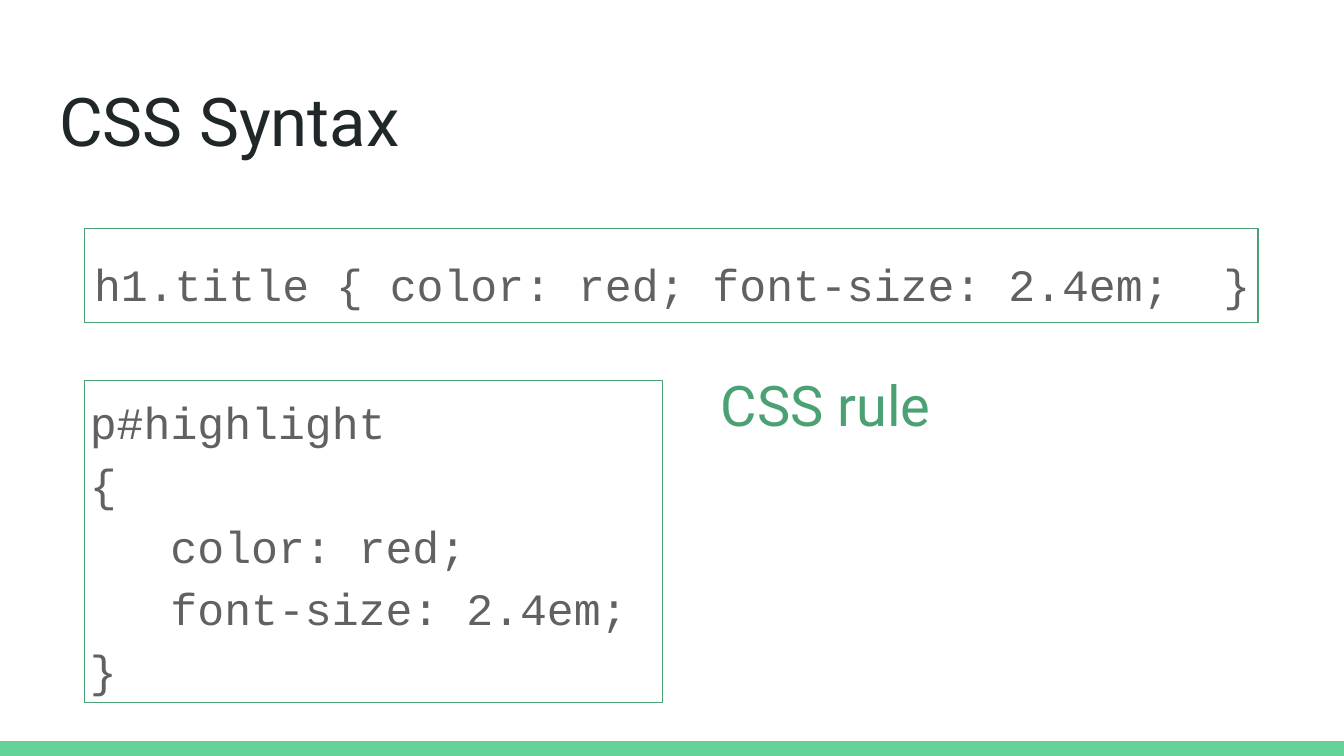
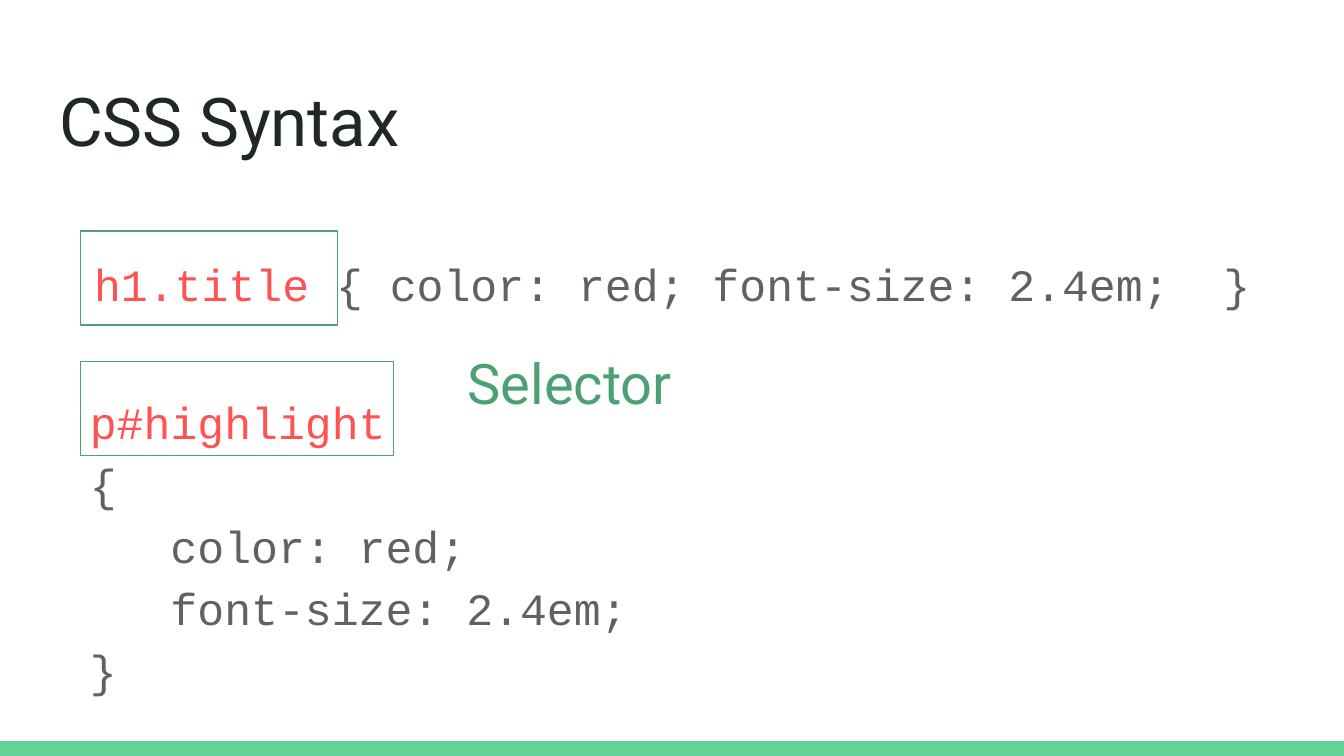
from dataclasses import dataclass

from pptx import Presentation
from pptx.dml.color import RGBColor
from pptx.enum.shapes import MSO_SHAPE
from pptx.enum.text import MSO_ANCHOR, MSO_AUTO_SIZE, PP_ALIGN
from pptx.util import Inches, Pt


@dataclass(frozen=True)
class Theme:
    ink: str = "202729"
    code: str = "616161"
    selector: str = "FF5252"
    accent: str = "4BA173"
    band: str = "63D297"
    sans: str = "Roboto"
    mono: str = "Courier New"
    title_size: int = 36
    label_size: int = 30
    code_size: int = 24
    frame_width: float = 0.75
    line_spacing: float = 1.15
    space_after: int = 16


THEME = Theme()

# Square grid: 100 columns across, 56.25 rows down
CELL = Inches(0.1)
COLUMNS, ROWS = 100, 56.25
ROW_HEIGHT = 7  # one line of code with its margins
INDENT = Pt(THEME.code_size * 0.6 * 3)  # three monospaced characters

# The two rules: selector, then declarations
INLINE_RULE = ("h1.title", " { color: red; font-size: 2.4em;  }")
BLOCK_SELECTOR = "p#highlight"
BLOCK_BODY = [("{", 0), ("color: red;", 1), ("font-size: 2.4em;", 1), ("}", 0)]


def cells(*lengths):
    return [round(length * CELL) for length in lengths]


def color(value):
    return RGBColor.from_string(value)


def set_font(font, name, size, value):
    font.name, font.size = name, Pt(size)
    font.color.rgb = color(value)


def prepare(frame):
    frame.word_wrap = True
    frame.auto_size = MSO_AUTO_SIZE.NONE
    frame.vertical_anchor = MSO_ANCHOR.TOP
    frame.margin_left = frame.margin_right = CELL
    frame.margin_top = frame.margin_bottom = CELL


def add_text_area(slide, box):
    frame = slide.shapes.add_textbox(*cells(*box)).text_frame
    prepare(frame)
    return frame


def style_paragraph(paragraph, align, space_after=THEME.space_after):
    paragraph.alignment = align
    paragraph.line_spacing = THEME.line_spacing
    paragraph.space_after = Pt(space_after)


def add_title(slide, text):
    title = slide.shapes.title
    title.left, title.top, title.width, title.height = cells(3.4, 4.9, 93.2, 6.3)
    prepare(title.text_frame)
    title.text_frame.text = text
    heading = title.text_frame.paragraphs[0]
    heading.alignment = PP_ALIGN.LEFT
    set_font(heading.font, THEME.sans, THEME.title_size, THEME.ink)


def add_inline_rule(slide, selector_color):
    rule = add_text_area(slide, (3.4, 17.5, 93.2, ROW_HEIGHT)).paragraphs[0]
    style_paragraph(rule, PP_ALIGN.CENTER)
    for text, value in zip(INLINE_RULE, (selector_color, THEME.code)):
        run = rule.add_run()
        run.text = text
        set_font(run.font, THEME.mono, THEME.code_size, value)


def add_block_rule(slide, selector_color):
    frame = add_text_area(slide, (5.7, 27.8, 48.5, 25))
    lines = [(BLOCK_SELECTOR, 0, selector_color)]
    lines += [(text, depth, THEME.code) for text, depth in BLOCK_BODY]
    for number, (text, depth, value) in enumerate(lines):
        line = frame.add_paragraph() if number else frame.paragraphs[0]
        line.text = text
        style_paragraph(line, PP_ALIGN.LEFT, space_after=0)
        set_font(line.font, THEME.mono, THEME.code_size, value)
        if depth:
            line._p.get_or_add_pPr().set("marL", str(depth * INDENT))


def add_frame(slide, box):
    frame = slide.shapes.add_shape(MSO_SHAPE.RECTANGLE, *cells(*box))
    frame.shadow.inherit = False
    frame.fill.background()
    frame.line.color.rgb = color(THEME.accent)
    frame.line.width = Pt(THEME.frame_width)


def add_label(slide, text, box):
    label = add_text_area(slide, box).paragraphs[0]
    label.text = text
    style_paragraph(label, PP_ALIGN.CENTER)
    set_font(label.font, THEME.sans, THEME.label_size, THEME.accent)


def move_band_to_master(prs, slide):
    """Draw the bottom band once, on the master shared by all slides."""
    band = slide.shapes.add_shape(
        MSO_SHAPE.RECTANGLE, *cells(0, ROWS - 1.1, COLUMNS, 1.1))
    band.shadow.inherit = False
    band.fill.solid()
    band.fill.fore_color.rgb = color(THEME.band)
    band.line.fill.background()
    band.element.nvSpPr.cNvPr.set("id", "99")
    prs.slide_master.shapes.element.append(band.element)


def add_syntax_slide(prs, selector_color, frames, label, label_box):
    slide = prs.slides.add_slide(prs.slide_layouts.get_by_name("Title Only"))
    add_title(slide, "CSS Syntax")
    add_inline_rule(slide, selector_color)
    add_block_rule(slide, selector_color)
    for box in frames:
        add_frame(slide, box)
    add_label(slide, label, label_box)
    return slide


def main():
    prs = Presentation()
    prs.slide_width, prs.slide_height = cells(COLUMNS, ROWS)

    # Whole rules framed
    rule_slide = add_syntax_slide(
        prs, THEME.code,
        [(6.3, 17, 87.3, ROW_HEIGHT), (6.3, 28.3, 43, 24)],
        "CSS rule", (52.5, 25.8, 17.9, ROW_HEIGHT))
    move_band_to_master(prs, rule_slide)

    # Selectors framed and highlighted
    add_syntax_slide(
        prs, THEME.selector,
        [(6, 17.2, 19.1, ROW_HEIGHT), (6, 26.9, 23.3, ROW_HEIGHT)],
        "Selector", (31.9, 24.2, 21, ROW_HEIGHT))

    prs.save("out.pptx")


if __name__ == "__main__":
    main()
